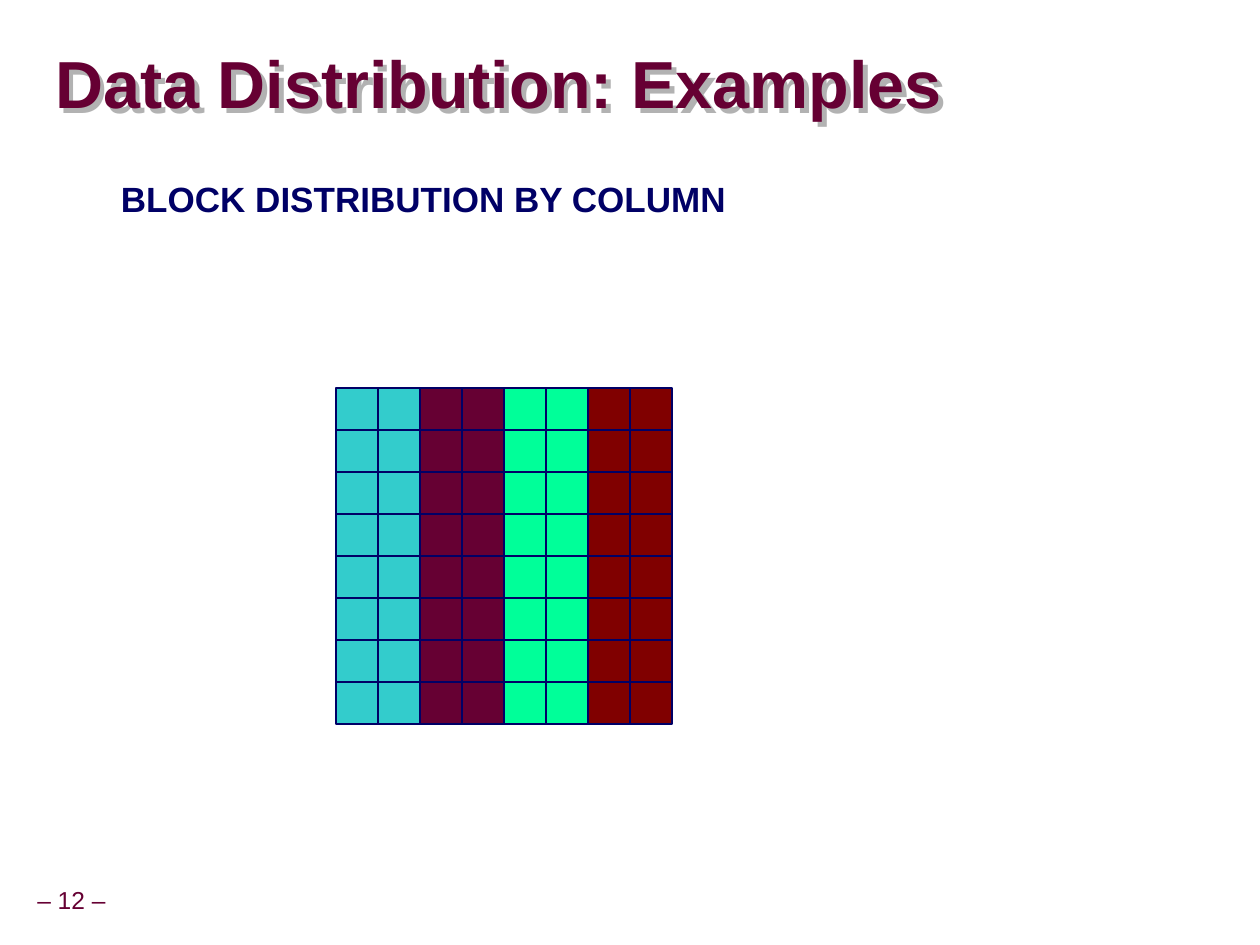
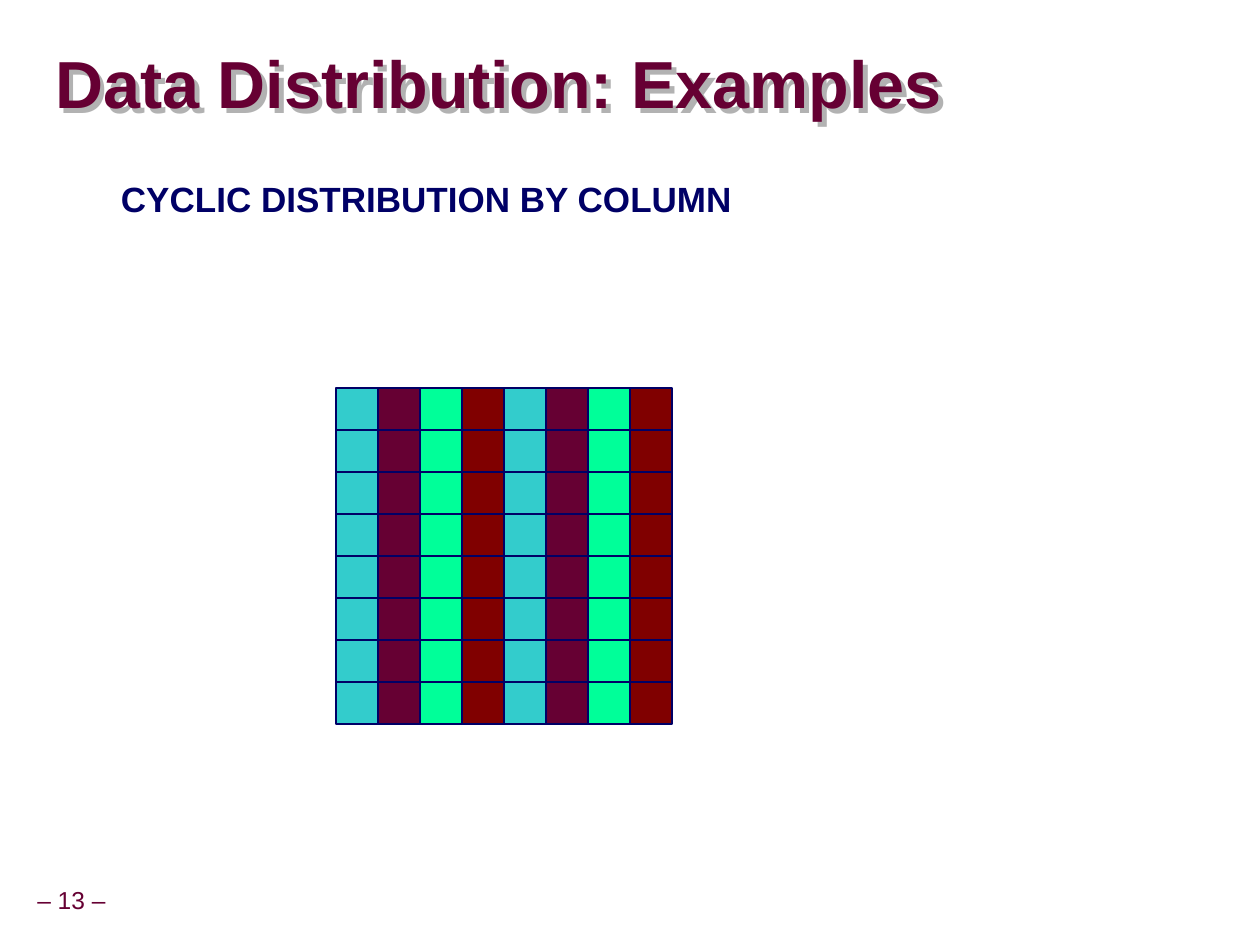
"""Build two slides that compare block and cyclic distribution of matrix columns."""
from lxml.etree import SubElement
from pptx import Presentation
from pptx.dml.color import RGBColor
from pptx.enum.shapes import MSO_SHAPE as Shape
from pptx.enum.text import MSO_ANCHOR as Anchor, MSO_AUTO_SIZE as AutoSize, PP_ALIGN as Align
from pptx.oxml.ns import qn
from pptx.util import Pt

PX = 914400 / 126
FONT = "Arial"
MAROON = RGBColor(0x66, 0x00, 0x33)
NAVY = RGBColor(0x00, 0x00, 0x66)
TEAL = RGBColor(0x33, 0xCC, 0xCC)
MINT = RGBColor(0x00, 0xFF, 0x99)
DARK_RED = RGBColor(0x80, 0x00, 0x00)
SHADOW_GRAY = RGBColor(0xB2, 0xB2, 0xB2)

PROCESSOR_COLORS = [TEAL, MAROON, MINT, DARK_RED]
GRID_SIZE = 8
GRID_LEFT, GRID_TOP, CELL = 336, 388, 42
BLOCK_WIDTH = GRID_SIZE // len(PROCESSOR_COLORS)
BLOCK_COLUMNS = [PROCESSOR_COLORS[column // BLOCK_WIDTH] for column in range(GRID_SIZE)]
CYCLIC_COLUMNS = [PROCESSOR_COLORS[column % len(PROCESSOR_COLORS)] for column in range(GRID_SIZE)]
FIRST_PAGE_NUMBER = 12
EXAMPLES = [
    ("BLOCK DISTRIBUTION BY COLUMN", BLOCK_COLUMNS),
    ("CYCLIC DISTRIBUTION BY COLUMN", CYCLIC_COLUMNS),
]


def px(length):
    return round(length * PX)


class SlideBuilder:
    """Holds the deck style and the current slide."""

    def __init__(self, deck):
        self.deck = deck
        self.page = None

    def add_page(self):
        self.page = self.deck.slides.add_slide(self.deck.slide_layouts[5])

    def set_text(self, box, text, size, color, insets, bold=False, align=Align.LEFT,
                 anchor=Anchor.MIDDLE, spacing=1.0, wrap=True):
        frame = box.text_frame
        frame.text = text
        frame.auto_size = AutoSize.NONE
        frame.word_wrap = wrap
        frame.vertical_anchor = anchor
        frame.margin_left, frame.margin_top, frame.margin_right, frame.margin_bottom = map(px, insets)
        para = frame.paragraphs[0]
        para.alignment = align
        para.line_spacing = spacing
        para.font.name = FONT
        para.font.size = Pt(size)
        para.font.bold = bold
        para.font.color.rgb = color

    def text_box(self, left, top, width, height, text, size, color, insets, **style):
        box = self.page.shapes.add_textbox(px(left), px(top), px(width), px(height))
        self.set_text(box, text, size, color, insets, **style)

    def title(self, text):
        box = self.page.shapes.title
        box.left, box.top, box.width, box.height = px(55), px(34), px(1201), px(107)
        self.set_text(box, text, 38, MAROON, (0, 0, 0, 0), bold=True, spacing=0.87)
        box.fill.background()
        effects = SubElement(box.element.spPr, qn("a:effectLst"))
        shadow = SubElement(effects, qn("a:outerShdw"), dist=str(px(7)), dir="2700000", algn="ctr")
        SubElement(shadow, qn("a:srgbClr"), val=str(SHADOW_GRAY))

    def subtitle(self, text):
        self.text_box(40, 169, 1145, 719, text, 20, NAVY, (81, 9, 13, 6),
                      bold=True, anchor=Anchor.TOP)

    def page_number(self, number):
        self.text_box(-11, 882, 165, 39, f"– {number} –", 14, MAROON, (6, 6, 6, 6),
                      align=Align.CENTER, spacing=0.9, wrap=False)

    def cell(self, left, top, color):
        square = self.page.shapes.add_shape(Shape.RECTANGLE, px(left), px(top), px(CELL), px(CELL))
        square.shadow.inherit = False
        square.fill.solid()
        square.fill.fore_color.rgb = color
        square.line.color.rgb = NAVY
        square.line.width = Pt(0.75)

    def grid(self, column_colors):
        for column, color in enumerate(column_colors):
            for row in range(GRID_SIZE):
                self.cell(GRID_LEFT + column * CELL, GRID_TOP + row * CELL, color)


def main():
    deck = Presentation()
    deck.slide_width, deck.slide_height = px(1260), px(945)
    builder = SlideBuilder(deck)
    for number, (subtitle, column_colors) in enumerate(EXAMPLES, FIRST_PAGE_NUMBER):
        builder.add_page()
        builder.page_number(number)
        builder.title("Data Distribution: Examples")
        builder.subtitle(subtitle)
        builder.grid(column_colors)
    deck.save("out.pptx")


if __name__ == "__main__":
    main()
